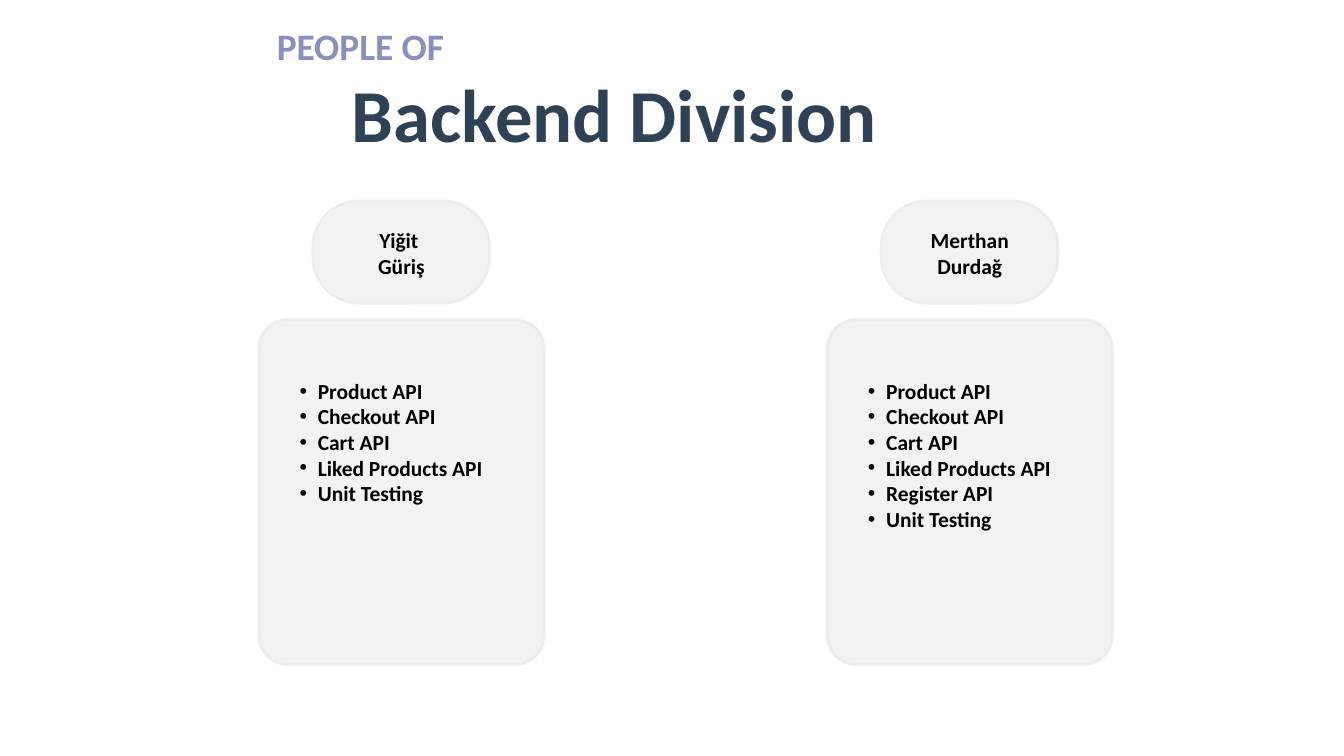
from dataclasses import dataclass

from lxml import etree
from pptx import Presentation
from pptx import util as u
from pptx.dml.color import RGBColor
from pptx.enum import shapes, text
from pptx.oxml.ns import qn


@dataclass(frozen=True)
class Theme:
    font: str = "Calibri"
    fill: str = "F2F2F2"
    outline: str = "EDEDED"
    body: str = "000000"
    kicker: str = "8990BB"
    title: str = "2E4255"
    body_size: float = 23
    kicker_size: float = 40
    title_size: float = 80
    body_spacing: float = 27.4
    kicker_spacing: float = 52
    title_spacing: float = 104


theme = Theme()
PX = 9525
COLUMN_STEP = 812
BULLET_INDENT = 26

people = [
    (["Yiğit ", "Güriş"],
     ["Product API", "Checkout API", "Cart API", "Liked Products API", "Unit Testing"]),
    (["Merthan Durdağ"],
     ["Product API", "Checkout API", "Cart API", "Liked Products API", "Register API",
      "Unit Testing"]),
]


def write_text(shape, box, lines, size, spacing, color, bulleted=False):
    shape.left, shape.top, shape.width, shape.height = [value * PX for value in box]
    frame = shape.text_frame
    frame.margin_left = frame.margin_top = frame.margin_right = frame.margin_bottom = 0
    frame.word_wrap = True
    frame.auto_size = text.MSO_AUTO_SIZE.NONE
    frame.vertical_anchor = text.MSO_ANCHOR.TOP
    frame.text = "\n".join(lines)
    for paragraph in frame.paragraphs:
        paragraph.alignment = text.PP_ALIGN.LEFT if bulleted else text.PP_ALIGN.CENTER
        paragraph.line_spacing = u.Pt(spacing)
        paragraph.font.name = theme.font
        paragraph.font.size = u.Pt(size)
        paragraph.font.bold = True
        paragraph.font.color.rgb = RGBColor.from_string(color)
        if bulleted:
            paragraph.level = 1
            properties = paragraph._p.get_or_add_pPr()
            properties.set("marL", str(2 * BULLET_INDENT * PX))
            properties.set("indent", str(-BULLET_INDENT * PX))
            bullet_font = etree.Element(qn("a:buFont"), typeface="Arial")
            bullet = etree.Element(qn("a:buChar"), char="•")
            properties.find(qn("a:lnSpc")).addnext(bullet_font)
            bullet_font.addnext(bullet)


def add_panel(slide, box, corner):
    shape = slide.shapes.add_shape(
        shapes.MSO_SHAPE.ROUNDED_RECTANGLE, *[value * PX for value in box])
    shape.adjustments[0] = corner
    shape.shadow.inherit = False
    shape.fill.solid()
    shape.fill.fore_color.rgb = RGBColor.from_string(theme.fill)
    shape.line.color.rgb = RGBColor.from_string(theme.outline)
    shape.line.width = u.Pt(3)


presentation = Presentation()
presentation.slide_width = 1920 * PX
presentation.slide_height = 1080 * PX
slide = presentation.slides.add_slide(presentation.slide_layouts[5])

write_text(slide.shapes.title, (381, 86, 994, 136), ["Backend Division"],
           theme.title_size, theme.title_spacing, theme.title)
kicker = slide.shapes.add_textbox(0, 0, 0, 0)
write_text(kicker, (124, 28, 782, 67), ["PEOPLE OF"],
           theme.kicker_size, theme.kicker_spacing, theme.kicker)

for column, (name, tasks) in enumerate(people):
    offset = column * COLUMN_STEP
    add_panel(slide, (447 + offset, 287, 252, 146), 0.45)
    add_panel(slide, (370 + offset, 457, 407, 492), 0.1)
    name_box = slide.shapes.add_textbox(0, 0, 0, 0)
    write_text(name_box, (476 + offset, 325, 195, 73), name,
               theme.body_size, theme.body_spacing, theme.body)
    task_box = slide.shapes.add_textbox(0, 0, 0, 0)
    write_text(task_box, (402 + offset, 540, 342, 36 * len(tasks)), tasks,
               theme.body_size, theme.body_spacing, theme.body, bulleted=True)

presentation.save("out.pptx")
